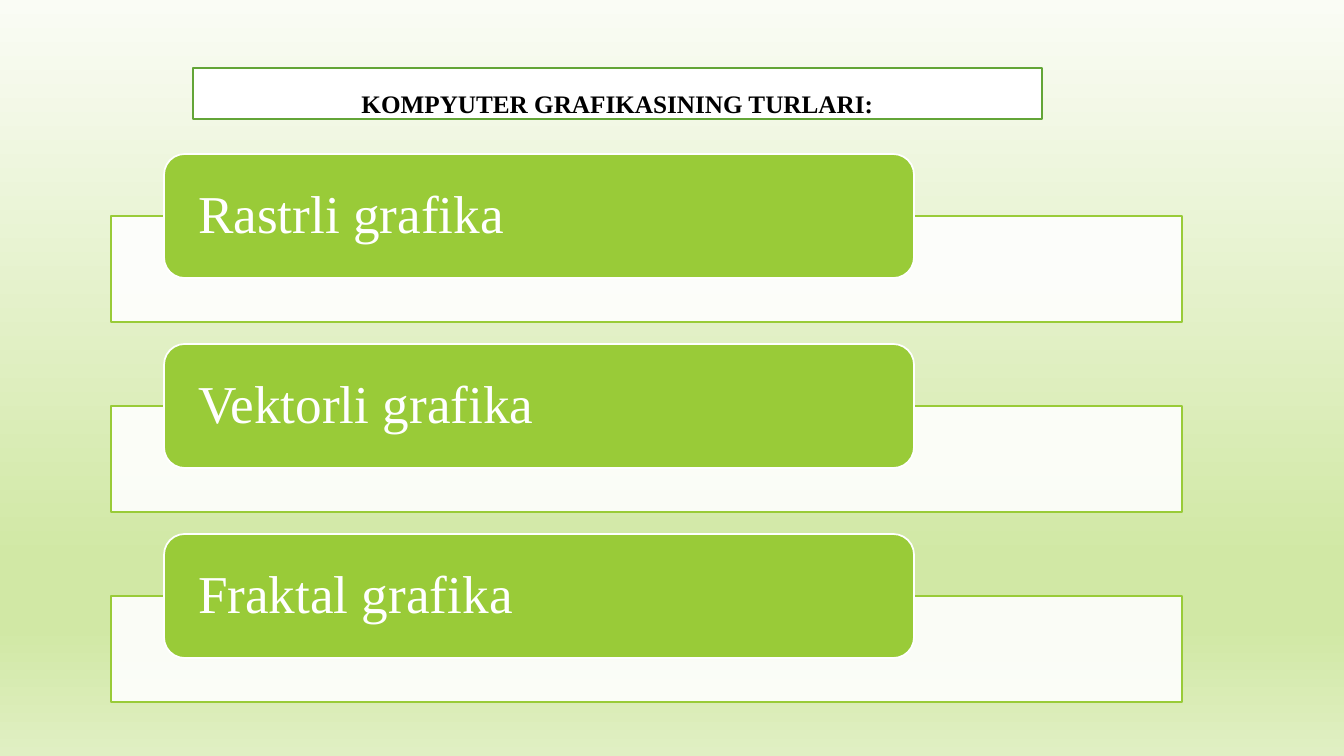
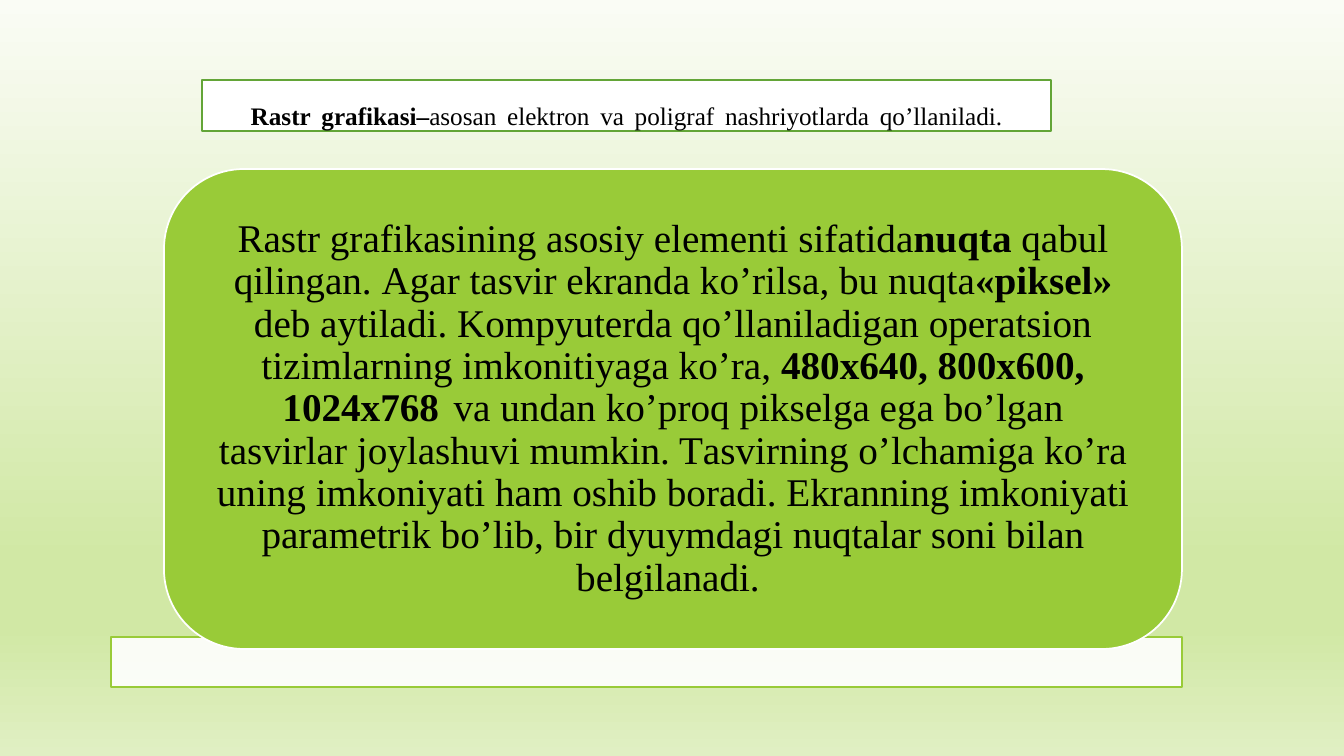
"""Build two slides on the kinds of computer graphics."""
from dataclasses import dataclass
from itertools import groupby

from lxml.etree import SubElement
from pptx import Presentation
from pptx.dml.color import RGBColor
from pptx.enum.shapes import MSO_SHAPE as Preset
from pptx.enum.text import MSO_ANCHOR as Anchor, MSO_AUTO_SIZE as AutoSize, PP_ALIGN as Align
from pptx.oxml.ns import qn
from pptx.util import Emu, Pt


@dataclass(frozen=True)
class Theme:
    """Colours, type and line sizes shared by the slides."""
    font: str = "Times New Roman"
    green: str = "99CB38"
    dark_green: str = "63A537"
    white: str = "FFFFFF"
    black: str = "000000"
    backdrop: tuple = ((0, "FAFCF5"), (74, "D1E8A5"), (83, "D1E8A5"), (100, "E0EFC3"))
    bar_opacity: int = 90
    line_width: float = 1.25
    header_size: int = 18
    body_size: int = 28
    label_size: int = 38


@dataclass(frozen=True)
class Run:
    """Text with its weight and the points added to each space."""
    text: str
    bold: bool = False
    gap: float = 0


THEME = Theme()
EMU_PER_PX = 914400 / 100.8
BAR_LEFT, BAR_WIDTH, LABEL_LEFT = 111, 1071, 164
ROW_TOP, ROW_STEP = 154, 190

KINDS = ("Rаstrli grаfikа", "Vektоrli grаfikа", "Frаktаl grаfikа")
KINDS_HEADER = (Run("KОMPYUTER GRАFIKАSINING TURLАRI:", True),)
RASTER_HEADER = (
    Run("Rаstr grаfikаsi–", True, 3.1),
    Run("аsоsаn elektrоn vа pоligrаf nаshriyоtlаrdа qо’llаnilаdi.", False, 3.1),
)
RASTER_BODY = (
    Run("Rаstr grаfikаsining аsоsiy elementi sifаtidа"),
    Run("nuqtа ", True),
    Run("qаbul qilingаn. Аgаr tаsvir ekrаndа kо’rilsа, bu nuqtа"),
    Run("«piksel» ", True),
    Run("deb аytilаdi. Kоmpyuterdа qо’llаnilаdigаn оperаtsiоn tizimlаrning "
        "imkоnitiyаgа kо’rа, "),
    Run("480х640, 800х600, 1024х768", True),
    Run(" ", True, 3.5),
    Run("vа undаn kо’prоq pikselgа egа bо’lgаn tаsvirlаr jоylаshuvi mumkin. "
        "Tаsvirning о’lchаmigа kо’rа uning imkоniyаti hаm оshib bоrаdi. "
        "Ekrаnning imkоniyаti pаrаmetrik bо’lib, bir dyuymdаgi nuqtаlаr sоni "
        "bilаn belgilаnаdi. "),
)


def px(length):
    """Turn pixels into EMU."""
    return Emu(round(length * EMU_PER_PX))


def set_all(target, values):
    """Set every attribute in a dict of format values."""
    for name, value in values.items():
        setattr(target, name, value)


def paint_backdrop(master):
    """Give the slide master a vertical gradient."""
    fill = master.background.fill
    fill.gradient()
    fill.gradient_angle = 270
    stops = next(master.element.iter(qn("a:gsLst")))
    stops.clear()
    for percent, color in THEME.backdrop:
        stop = SubElement(stops, qn("a:gs"), pos=str(percent * 1000))
        SubElement(stop, qn("a:srgbClr"), val=color)


def add_box(slide, preset, box, fill, line):
    """Add a filled and outlined shape."""
    shape = slide.shapes.add_shape(preset, *map(px, box))
    shape.shadow.inherit = False
    shape.fill.solid()
    shape.fill.fore_color.rgb = RGBColor.from_string(fill)
    shape.line.color.rgb = RGBColor.from_string(line)
    shape.line.width = Pt(THEME.line_width)
    return shape


def add_run(paragraph, run, size, color):
    """Add text, with its spaces widened when the run asks for it."""
    for is_gap, letters in groupby(run.text, lambda letter: run.gap > 0 and letter == " "):
        piece = paragraph.add_run()
        piece.text = "".join(letters)
        set_all(piece.font, {"name": THEME.font, "size": Pt(size), "bold": run.bold})
        piece.font.color.rgb = RGBColor.from_string(color)
        if is_gap:
            piece.font._element.set("spc", str(round(run.gap * 100)))


def write(shape, runs, size, color, frame_format, paragraph_format):
    """Fill a shape with one paragraph."""
    frame = shape.text_frame
    set_all(frame, {"word_wrap": True, **frame_format})
    paragraph = frame.paragraphs[0]
    set_all(paragraph, paragraph_format)
    for run in runs:
        add_run(paragraph, run, size, color)


def add_header(slide, left, top, runs):
    """Add the white header box."""
    shape = add_box(slide, Preset.RECTANGLE, (left, top, 849, 51),
                    THEME.white, THEME.dark_green)
    write(shape, runs, THEME.header_size, THEME.black,
          {"vertical_anchor": Anchor.TOP, "auto_size": AutoSize.SHAPE_TO_FIT_TEXT},
          {"alignment": Align.CENTER, "line_spacing": 1.5, "space_after": Pt(8)})


def add_bar(slide, top, height):
    """Add a translucent bar behind a label."""
    shape = add_box(slide, Preset.RECTANGLE, (BAR_LEFT, top, BAR_WIDTH, height),
                    THEME.white, THEME.green)
    color = next(shape.element.spPr.find(qn("a:solidFill")).iter(qn("a:srgbClr")))
    SubElement(color, qn("a:alpha"), val=str(THEME.bar_opacity * 1000))


def add_label(slide, top, width, height, runs, size, color, alignment):
    """Add a rounded green label with text."""
    shape = add_box(slide, Preset.ROUNDED_RECTANGLE, (LABEL_LEFT, top, width, height),
                    THEME.green, THEME.white)
    write(shape, runs, size, color,
          {"vertical_anchor": Anchor.MIDDLE, "margin_left": px(28), "margin_right": px(28),
           "margin_top": 0, "margin_bottom": 0},
          {"alignment": alignment, "line_spacing": 0.9})


def build_kinds(slide):
    """List the kinds of graphics."""
    for row, kind in enumerate(KINDS):
        top = ROW_TOP + row * ROW_STEP
        add_bar(slide, top + 62, 106)
        add_label(slide, top, 750, 124, (Run(kind),),
                  THEME.label_size, THEME.white, Align.LEFT)
    add_header(slide, 193, 68, KINDS_HEADER)


def build_raster(slide):
    """Explain raster graphics."""
    add_bar(slide, 637, 50)
    add_label(slide, 169, 1018, 480, RASTER_BODY,
              THEME.body_size, THEME.black, Align.CENTER)
    add_header(slide, 202, 80, RASTER_HEADER)


def main():
    """Build and save the presentation."""
    presentation = Presentation()
    set_all(presentation, {"slide_width": px(1344), "slide_height": px(756)})
    paint_backdrop(presentation.slide_master)
    for build in (build_kinds, build_raster):
        build(presentation.slides.add_slide(presentation.slide_layouts[6]))
    presentation.save("out.pptx")


if __name__ == "__main__":
    main()
